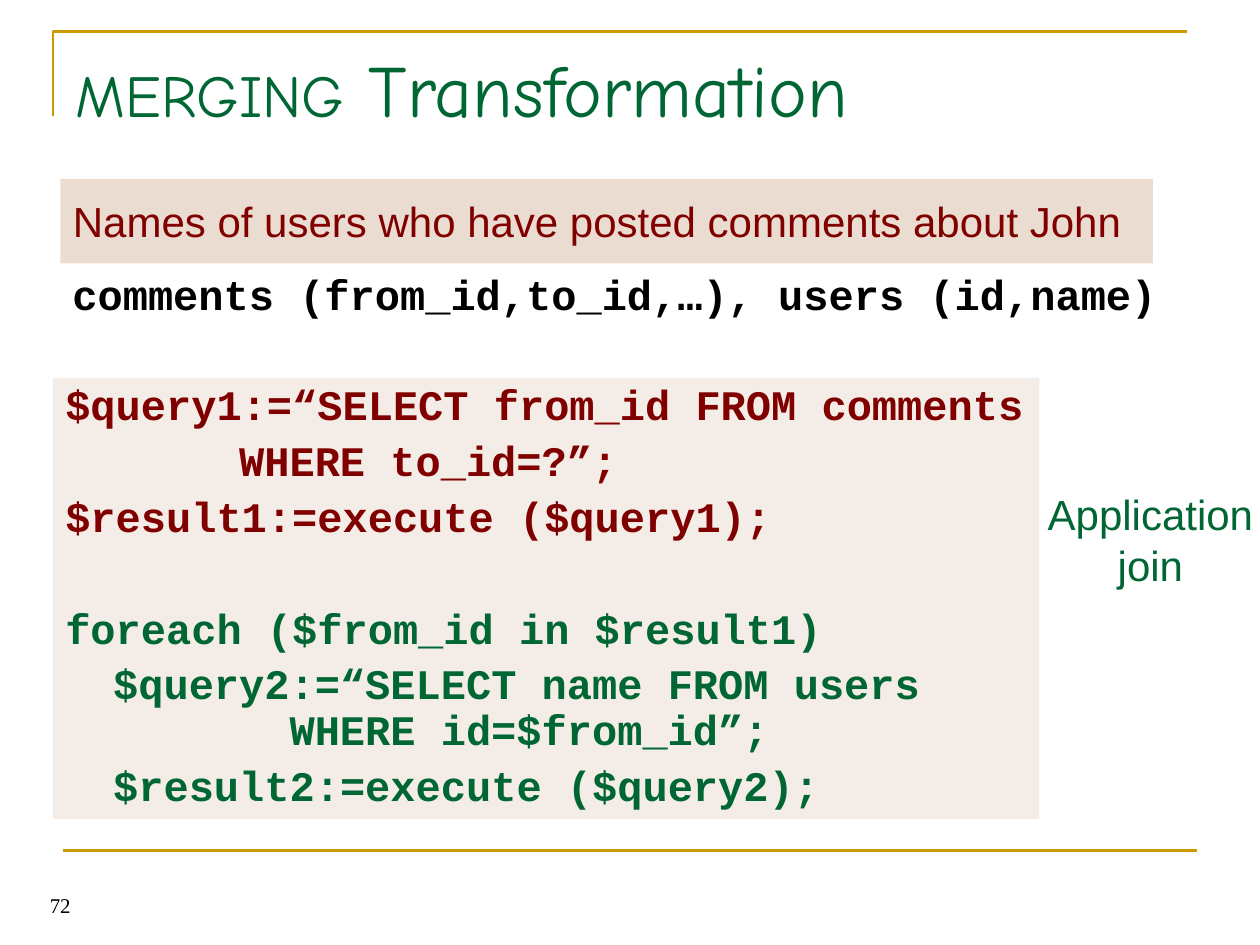
from lxml import etree
from pptx import Presentation
from pptx.dml.color import RGBColor
from pptx.enum.shapes import MSO_CONNECTOR, MSO_SHAPE
from pptx.enum.text import MSO_ANCHOR, MSO_AUTO_SIZE, PP_ALIGN
from pptx.oxml.ns import qn
from pptx.util import Inches, Pt

LEFT, CENTER, RIGHT = PP_ALIGN.LEFT, PP_ALIGN.CENTER, PP_ALIGN.RIGHT
TOP, MIDDLE, BOTTOM = MSO_ANCHOR.TOP, MSO_ANCHOR.MIDDLE, MSO_ANCHOR.BOTTOM
STRAIGHT, RECTANGLE = MSO_CONNECTOR.STRAIGHT, MSO_SHAPE.RECTANGLE
NO_AUTOFIT = MSO_AUTO_SIZE.NONE

COLORS = {"gold": "CC9900", "green": "006633", "maroon": "800000",
          "sand": "EBDCD1", "black": "000000"}
SANS, CODE, HEADING, SERIF = "Arial", "Courier New", "Comic Neue", "Times New Roman"

# Code line, colour, space before in points
CODE_LINES = [
    ("$query1:=“SELECT from_id FROM comments", "maroon", 0),
    ("\t\t\tWHERE to_id=?”;", "maroon", 6),
    ("$result1:=execute ($query1);", "maroon", 6),
    ("foreach ($from_id in $result1)", "green", 38),
    ("\t$query2:=“SELECT name FROM users\n\t\t  WHERE id=$from_id”;", "green", 6),
    ("\t$result2:=execute ($query2);", "green", 6),
]


def rgb(name):
    return RGBColor.from_string(COLORS[name])


def inches(box):
    return [Inches(length) for length in box]


def style_line(line):
    line.color.rgb = rgb("gold")
    line.width = Pt(1.5)


def add_text(paragraph, text, font, size, color, bold=False):
    for index, piece in enumerate(text.split("\n")):
        if index:
            paragraph.add_line_break()
        run = paragraph.add_run()
        run.text = piece
        run.font.name = font
        run.font.size = Pt(size)
        run.font.bold = bold
        run.font.color.rgb = rgb(color)


def set_frame(frame, anchor):
    frame.word_wrap = True
    frame.auto_size = NO_AUTOFIT
    frame.vertical_anchor = anchor


def add_label(slide, box, text, font, size, color, align, anchor=TOP, bold=False):
    frame = slide.shapes.add_textbox(*inches(box)).text_frame
    set_frame(frame, anchor)
    paragraph = frame.paragraphs[0]
    paragraph.alignment = align
    add_text(paragraph, text, font, size, color, bold)


def add_panel(slide, box, anchor):
    panel = slide.shapes.add_shape(RECTANGLE, *inches(box))
    panel.shadow.inherit = False
    panel.fill.solid()
    panel.fill.fore_color.rgb = rgb("sand")
    panel.line.fill.background()
    set_frame(panel.text_frame, anchor)
    return panel


def add_frame_rules(slide, box):
    """Corner rule above the title and straight rule above the footer."""
    left, top, width, height = inches(box)
    builder = slide.shapes.build_freeform(left, top + Inches(0.67))
    builder.add_line_segments([(left, top), (left + width, top)], close=False)
    corner = builder.convert_to_shape()
    corner.shadow.inherit = False
    corner.fill.background()
    style_line(corner.line)

    start, bottom = left + Inches(0.08), top + height
    footer_rule = slide.shapes.add_connector(
        STRAIGHT, start, bottom, start + width, bottom)
    style_line(footer_rule.line)
    etree.SubElement(footer_rule._element.spPr, qn("a:effectLst"))


def add_title(slide, box):
    title = slide.shapes.title
    title.left, title.top, title.width, title.height = inches(box)
    set_frame(title.text_frame, TOP)
    paragraph = title.text_frame.paragraphs[0]
    paragraph.alignment = LEFT
    add_text(paragraph, "MERGING", HEADING, 34, "green")
    add_text(paragraph, " Transformation", HEADING, 42, "green")


def add_question(slide, box):
    banner = add_panel(slide, box, MIDDLE)
    paragraph = banner.text_frame.paragraphs[0]
    paragraph.alignment = LEFT
    add_text(paragraph, "Names of users who have posted comments about John",
             SANS, 24, "maroon")


def indent_code(paragraph):
    """Hanging indent with a tab stop at every inch."""
    properties = paragraph._p.get_or_add_pPr()
    properties.set("marL", str(Inches(0.38)))
    properties.set("indent", str(-Inches(0.38)))
    tabs = etree.SubElement(properties, qn("a:tabLst"))
    for stop in range(8):
        etree.SubElement(tabs, qn("a:tab"), pos=str(Inches(stop)), algn="l")


def add_code(slide, box):
    panel = add_panel(slide, box, TOP)
    fill_color = panel._element.spPr.find(qn("a:solidFill"))[0]
    etree.SubElement(fill_color, qn("a:alpha"), val="50000")
    frame = panel.text_frame
    for index, (text, color, gap) in enumerate(CODE_LINES):
        paragraph = frame.add_paragraph() if index else frame.paragraphs[0]
        indent_code(paragraph)
        paragraph.alignment = LEFT
        paragraph.line_spacing = 0.9
        paragraph.space_before = Pt(gap)
        add_text(paragraph, text, CODE, 24, color, bold=True)


def main():
    prs = Presentation()
    prs.slide_width, prs.slide_height = Inches(10), Inches(7.5)
    slide = prs.slides.add_slide(prs.slide_layouts[5])

    add_frame_rules(slide, (0.42, 0.25, 9, 6.5))
    add_title(slide, (0.5, 0.3, 9, 1.25))
    add_code(slide, (0.42, 3, 7.83, 3.5))
    add_question(slide, (0.48, 1.42, 8.67, 0.67))
    # Table schemas, side note and page number
    add_label(slide, (0.25, 2.08, 9.25, 0.5),
              "comments (from_id,to_id,…), users (id,name)",
              CODE, 24, "black", CENTER, bold=True)
    add_label(slide, (7.92, 3.83, 2.42, 0.9), "Application\njoin",
              SANS, 24, "green", CENTER)
    add_label(slide, (-1.67, 6.83, 2.33, 0.5), "72",
              SERIF, 12, "black", RIGHT, BOTTOM)
    prs.save("out.pptx")


if __name__ == "__main__":
    main()
